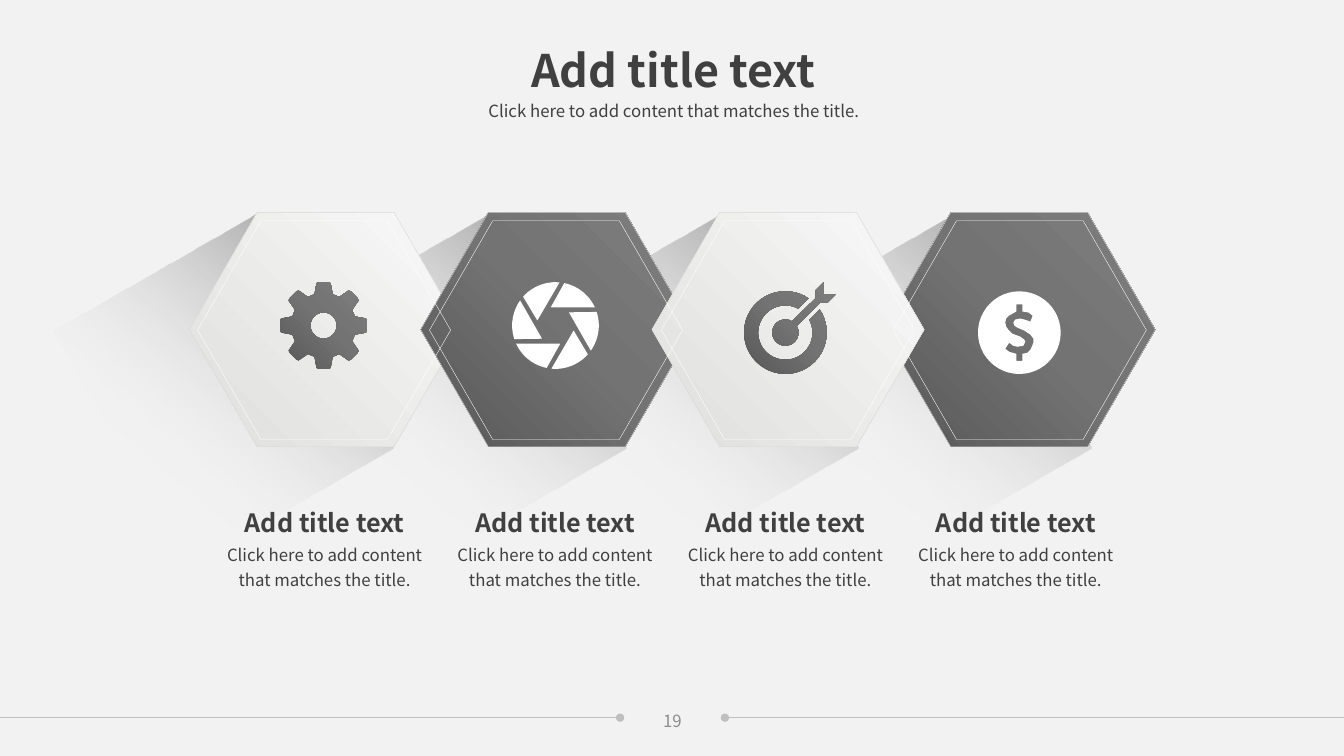
from math import cos, radians, sin

from lxml.etree import SubElement
from pptx import Presentation
from pptx.dml.color import RGBColor
from pptx.enum.shapes import MSO_CONNECTOR, MSO_SHAPE
from pptx.enum.text import MSO_ANCHOR, MSO_AUTO_SIZE, PP_ALIGN
from pptx.oxml.ns import qn
from pptx.util import Inches, Pt

FONT = "Noto Sans CJK SC"
COLORS = {
    "background": "F2F2F2", "text": "404040", "number": "8C8C8C",
    "rule": "BFBFBF", "edge": "D9D9D9", "white": "FFFFFF",
}
DARK = [(0, "575757", 100), (53, "737373", 100), (100, "7E7E7E", 100)]
LIGHT = [(0, "DFDFDD", 100), (100, "F9F9F9", 100)]
LONG_SHADOW = [(0, "808080", 100), (72, "F2F2F2", 0)]

TITLE = "Add title text"
SUBTITLE = "Click here to add content that matches the title."
PAGE_NUMBER = "19"
ITEMS = [
    ("Add title text", "Click here to add content that matches the title.", LIGHT),
    ("Add title text", "Click here to add content that matches the title.", DARK),
    ("Add title text", "Click here to add content that matches the title.", LIGHT),
    ("Add title text", "Click here to add content that matches the title.", DARK),
]
RULES = [(0, 6.15, "tailEnd"), (7.19, 13.33, "headEnd")]

GEAR_TOOTH = [(-0.09, -0.31), (-0.07, -0.42), (-0.05, -0.43),
              (0.05, -0.43), (0.07, -0.42), (0.09, -0.31)]
ARROW = [(0.3, -0.34), (0.3, -0.42), (0.38, -0.5), (0.38, -0.38),
         (0.5, -0.38), (0.42, -0.3), (0.35, -0.3)]
DOLLAR = [
    (0.11, 0.17), (0.08, 0.2), (0.03, 0.21), (0.03, 0.28), (-0.03, 0.28),
    (-0.03, 0.21), (-0.1, 0.19), (-0.14, 0.16), (-0.1, 0.1), (-0.06, 0.13),
    (-0.02, 0.14), (0.04, 0.13), (0.06, 0.09), (0.05, 0.07), (0.01, 0.04),
    (-0.07, 0.01), (-0.11, -0.03), (-0.13, -0.06), (-0.14, -0.1),
    (-0.13, -0.14), (-0.1, -0.17), (-0.03, -0.21), (-0.03, -0.28),
    (0.03, -0.28), (0.03, -0.21), (0.09, -0.2), (0.13, -0.17),
    (0.13, -0.16), (0.11, -0.11), (0.08, -0.12), (0.05, -0.13),
    (0.01, -0.14), (-0.04, -0.13), (-0.06, -0.1), (-0.05, -0.07),
    (-0.02, -0.05), (0.05, -0.02), (0.11, 0.02), (0.14, 0.06), (0.14, 0.1),
]


def arc(radius, start, end, steps=48):
    angles = [radians(start + (end - start) * i / steps) for i in range(steps + 1)]
    return [(radius * cos(a), radius * sin(a)) for a in angles]


def turn(points, degrees):
    c, s = cos(radians(degrees)), sin(radians(degrees))
    return [(x * c - y * s, x * s + y * c) for x, y in points]


BLADE = arc(0.43, -84.6, -138.3, 12) + [(-0.18, -0.05)]
GEAR_RIM = [point for i in range(8) for point in turn(GEAR_TOOTH, 45 * i)]
ICONS = [
    ((3.21, 3.23), [GEAR_RIM, arc(0.13, 0, 360)], DARK),
    ((5.51, 3.23), [turn(BLADE, 60 * i) for i in range(6)], None),
    ((7.79, 3.3), [arc(0.41, -34, 304) + arc(0.27, 298, -28),
                   arc(0.13, -30, 300) + ARROW], DARK),
    ((10.11, 3.3), [arc(0.41, 0, 360), DOLLAR], None),
]


def rgb(name):
    return RGBColor.from_string(COLORS[name])


def gradient(shape, stops, angle):
    shape.fill.gradient()
    shape.fill.gradient_angle = 360 - angle
    stop_list = next(shape.element.iter(qn("a:gsLst")))
    for stop in list(stop_list):
        stop_list.remove(stop)
    for position, color, opacity in stops:
        stop = SubElement(stop_list, qn("a:gs"), pos=str(position * 1000))
        color_element = SubElement(stop, qn("a:srgbClr"), val=color)
        if opacity < 100:
            SubElement(color_element, qn("a:alpha"), val=str(opacity * 1000))


def add_preset(slide, kind, left, top, width, height):
    shape = slide.shapes.add_shape(
        kind, Inches(left), Inches(top), Inches(width), Inches(height))
    shape.shadow.inherit = False
    return shape


def add_hexagon(slide, left, top, width, height, line, stops=None):
    shape = add_preset(slide, MSO_SHAPE.HEXAGON, left, top, width, height)
    shape.adjustments[0] = 0.289
    shape.adjustments[1] = 1.155
    shape.line.color.rgb = rgb(line)
    shape.line.width = Pt(0.25)
    if stops:
        gradient(shape, stops, 315)
    else:
        shape.fill.background()


def add_icon(slide, center, contours, stops):
    placed = [[(Inches(center[0] + x), Inches(center[1] + y)) for x, y in contour]
              for contour in contours]
    builder = slide.shapes.build_freeform(*placed[0][0])
    builder.add_line_segments(placed[0][1:])
    for contour in placed[1:]:
        builder.move_to(*contour[0])
        builder.add_line_segments(contour[1:])
    shape = builder.convert_to_shape()
    shape.shadow.inherit = False
    shape.line.fill.background()
    if stops:
        gradient(shape, stops, 315)
    else:
        shape.fill.solid()
        shape.fill.fore_color.rgb = rgb("white")


def add_rule(slide, start, end, dot):
    rule = slide.shapes.add_connector(
        MSO_CONNECTOR.STRAIGHT, Inches(start), Inches(7.12), Inches(end), Inches(7.12))
    rule.line.color.rgb = rgb("rule")
    rule.line.width = Pt(0.5)
    SubElement(rule.line._get_or_add_ln(), qn("a:" + dot), type="oval")
    SubElement(rule.element.spPr, qn("a:effectLst"))


def write(shape, text, size, bold=False, spacing=1.0, color="text",
          wrap=True, anchor=MSO_ANCHOR.TOP):
    frame = shape.text_frame
    frame.text = text
    frame.word_wrap = wrap
    frame.auto_size = MSO_AUTO_SIZE.NONE
    frame.vertical_anchor = anchor
    paragraph = frame.paragraphs[0]
    paragraph.alignment = PP_ALIGN.CENTER
    paragraph.line_spacing = spacing
    paragraph.font.name = FONT
    paragraph.font.size = Pt(size)
    paragraph.font.bold = bold
    paragraph.font.color.rgb = rgb(color)


def add_text(slide, left, top, width, height, text, size, **style):
    box = slide.shapes.add_textbox(
        Inches(left), Inches(top), Inches(width), Inches(height))
    write(box, text, size, **style)


def main():
    presentation = Presentation()
    presentation.slide_width, presentation.slide_height = Inches(13.33), Inches(7.5)
    slide = presentation.slides.add_slide(presentation.slide_layouts[5])
    slide.background.fill.solid()
    slide.background.fill.fore_color.rgb = rgb("background")

    for start, end, dot in RULES:
        add_rule(slide, start, end, dot)
    for i in reversed(range(len(ITEMS))):
        shadow = add_preset(slide, MSO_SHAPE.RECTANGLE, 1.05 + 2.307 * i, 2.52, 2.34, 2.69)
        shadow.rotation = 330
        shadow.line.fill.background()
        gradient(shadow, LONG_SHADOW, 160)
    for i in (3, 0, 1, 2):
        add_hexagon(slide, 1.88 + 2.293 * i, 2.11, 2.7, 2.32, "edge", ITEMS[i][2])
    for i in range(len(ITEMS)):
        add_hexagon(slide, 1.96 + 2.3 * i, 2.19, 2.51, 2.17, "white")
    for center, contours, stops in ICONS:
        add_icon(slide, center, contours, stops)
    for i, (heading, caption, _) in enumerate(ITEMS):
        left = 2.08 + 2.285 * i
        add_text(slide, left, 5.32, 2.28, 0.57, caption, 12, spacing=1.2)
        add_text(slide, left, 4.92, 2.28, 0.43, heading, 18, bold=True, spacing=1.2)

    title = slide.shapes.title
    title.left, title.top = Inches(5.08), Inches(0.37)
    title.width, title.height = Inches(3.2), Inches(0.64)
    write(title, TITLE, 32, bold=True, wrap=False)
    add_text(slide, 4.32, 0.92, 4.73, 0.31, SUBTITLE, 12, spacing=1.14)
    add_text(slide, 6.15, 6.95, 1.04, 0.4, PAGE_NUMBER, 12, color="number",
             anchor=MSO_ANCHOR.MIDDLE)
    presentation.save("out.pptx")


if __name__ == "__main__":
    main()
